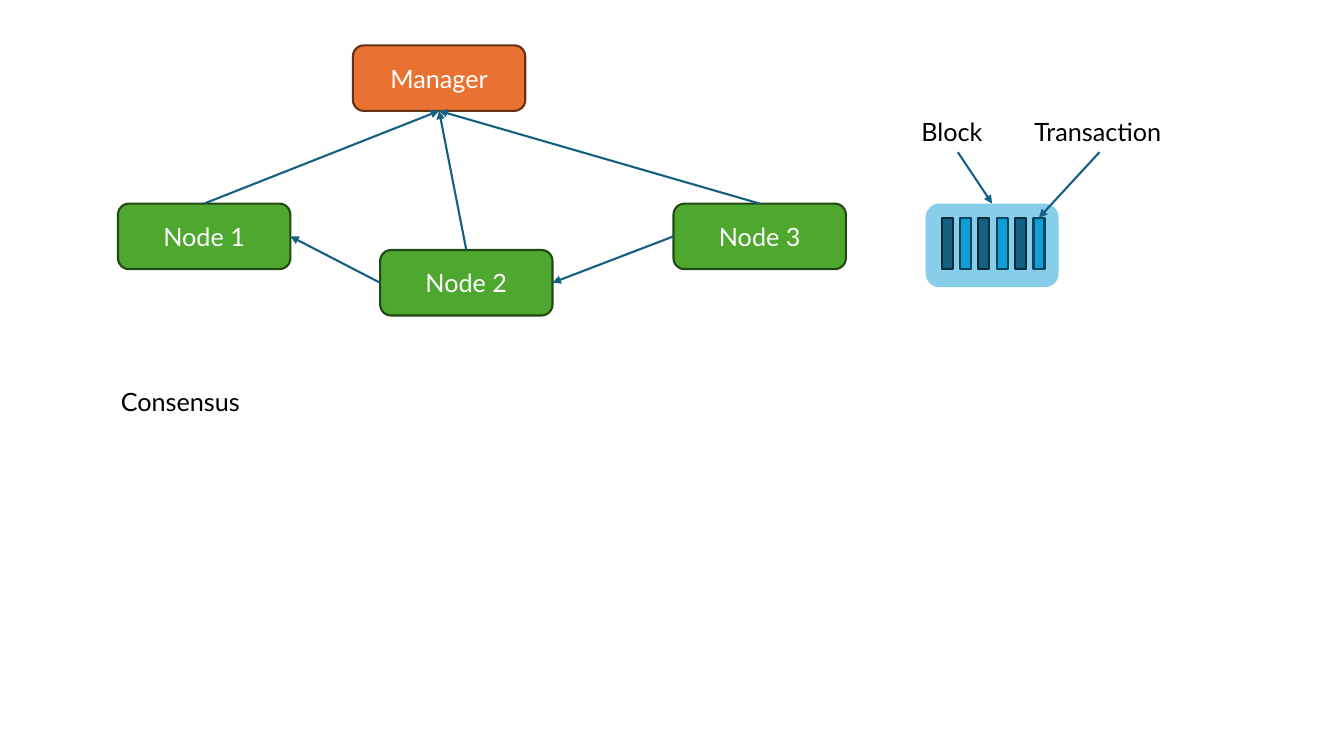
from pptx import Presentation
from pptx.dml.color import RGBColor
from pptx.enum.shapes import MSO_CONNECTOR, MSO_SHAPE
from pptx.enum.text import MSO_ANCHOR, PP_ALIGN
from pptx.oxml.ns import qn
from pptx.util import Inches, Pt
from lxml.etree import SubElement

SLIDE_WIDTH, SLIDE_HEIGHT = Inches(13.33), Inches(7.5)
COLUMN, ROW = SLIDE_WIDTH / 133.3, SLIDE_HEIGHT / 75
TOP, LEFT, BOTTOM, RIGHT = range(4)
NODE_SIZE = (17.1, 6.5)
TRANSACTION_COUNT, TRANSACTION_PITCH = 6, 1.82

WHITE = RGBColor(0xFF, 0xFF, 0xFF)
BLACK = RGBColor(0x00, 0x00, 0x00)
ORANGE = RGBColor(0xE9, 0x71, 0x32)
BROWN = RGBColor(0x66, 0x32, 0x16)
GREEN = RGBColor(0x4E, 0xA7, 0x2E)
DARK_GREEN = RGBColor(0x22, 0x49, 0x14)
TEAL = RGBColor(0x15, 0x60, 0x82)
DARK_TEAL = RGBColor(0x09, 0x2A, 0x39)
SKY = RGBColor(0x0F, 0x9E, 0xD5)
DARK_SKY = RGBColor(0x07, 0x45, 0x5D)


def grid(column, row, columns, rows):
    return (round(column * COLUMN), round(row * ROW),
            round(columns * COLUMN), round(rows * ROW))


def write(owner, wording, color):
    owner.text_frame.text = wording
    font = owner.text_frame.paragraphs[0].runs[0].font
    font.name, font.size = "Lato", Pt(18)
    font.color.rgb = color


def add_box(slide, preset, place, fill, outline=None):
    box = slide.shapes.add_shape(preset, *grid(*place))
    box.shadow.inherit = False
    box.fill.solid()
    box.fill.fore_color.rgb = fill
    if outline is None:
        box.line.fill.background()
    else:
        box.line.color.rgb = outline
        box.line.width = Pt(1.5)
    return box


def add_node(slide, name, column, row, fill=GREEN, outline=DARK_GREEN):
    node = add_box(slide, MSO_SHAPE.ROUNDED_RECTANGLE,
                   (column, row, *NODE_SIZE), fill, outline)
    write(node, name, WHITE)
    node.text_frame.vertical_anchor = MSO_ANCHOR.MIDDLE
    node.text_frame.paragraphs[0].alignment = PP_ALIGN.CENTER
    return node


def add_label(slide, wording, place):
    label = slide.shapes.add_textbox(*grid(*place))
    label.text_frame.word_wrap = True
    write(label, wording, BLACK)
    return label


def add_arrow(slide, source, source_side, target, target_side):
    arrow = slide.shapes.add_connector(MSO_CONNECTOR.STRAIGHT, 0, 0, 0, 0)
    arrow.begin_connect(source, source_side)
    arrow.end_connect(target, target_side)
    arrow.line.color.rgb = TEAL
    arrow.line.width = Pt(1.5)
    SubElement(arrow.line._get_or_add_ln(), qn("a:tailEnd"), type="triangle")
    SubElement(arrow._element.spPr, qn("a:effectLst"))


def add_block(slide):
    block = add_box(slide, MSO_SHAPE.ROUNDED_RECTANGLE, (91.8, 20.2, 13.2, 8.3), SKY)
    tint = block._element.spPr.find(qn("a:solidFill"))[0]
    SubElement(tint, qn("a:alpha"), val="50000")
    return block


def add_transactions(slide):
    palette = ((TEAL, DARK_TEAL), (SKY, DARK_SKY))
    return [
        add_box(slide, MSO_SHAPE.RECTANGLE,
                (93.4 + index * TRANSACTION_PITCH, 21.6, 1.1, 5.1),
                *palette[index % 2])
        for index in range(TRANSACTION_COUNT)
    ]


def main():
    deck = Presentation()
    deck.slide_width, deck.slide_height = SLIDE_WIDTH, SLIDE_HEIGHT
    slide = deck.slides.add_slide(deck.slide_layouts[6])

    block = add_block(slide)
    manager = add_node(slide, "Manager", 35, 4.5, ORANGE, BROWN)
    nodes = [
        add_node(slide, f"Node {number}", column, row)
        for number, (column, row) in enumerate(
            ((11.7, 20.2), (37.7, 24.8), (66.8, 20.2)), 1)
    ]
    for node in nodes:
        add_arrow(slide, node, TOP, manager, BOTTOM)
    for target, source in zip(nodes, nodes[1:]):
        add_arrow(slide, source, LEFT, target, RIGHT)

    add_label(slide, "Consensus", (11, 37.8, 72.3, 7.1))
    transactions = add_transactions(slide)
    block_label = add_label(slide, "Block", (90.4, 11.1, 9.2, 4))
    transaction_label = add_label(slide, "Transaction", (101.6, 11.1, 14.9, 4))
    add_arrow(slide, block_label, BOTTOM, block, TOP)
    add_arrow(slide, transaction_label, BOTTOM, transactions[-1], TOP)

    deck.save("out.pptx")


if __name__ == "__main__":
    main()
